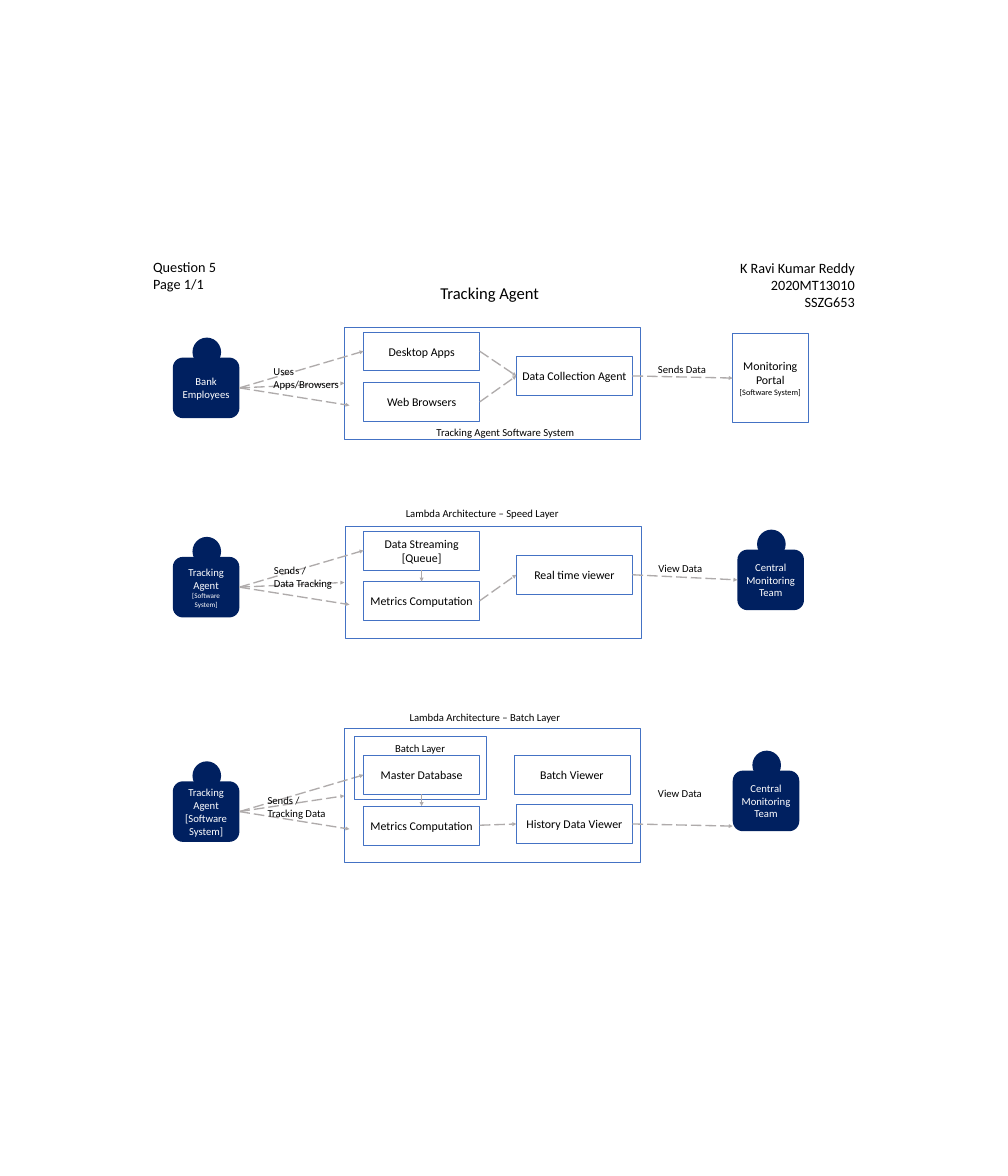
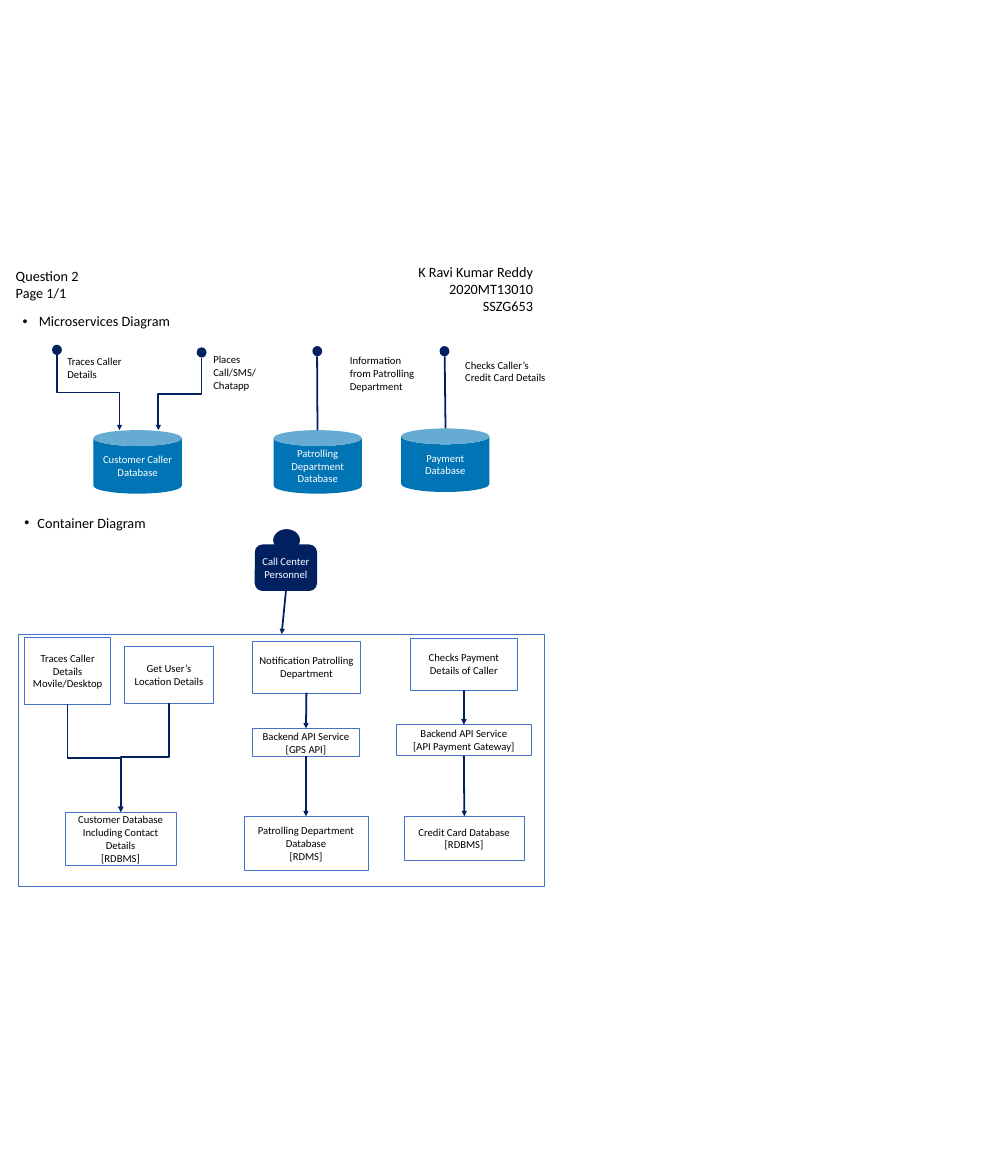
from dataclasses import dataclass
from typing import NamedTuple

from lxml import etree
from pptx import Presentation
from pptx import util as u
from pptx.dml.color import RGBColor
from pptx.enum import dml, shapes, text
from pptx.oxml import ns


@dataclass(frozen=True)
class Theme:
    font: str = "Calibri"
    navy: str = "002060"
    blue: str = "4472C4"
    grey: str = "AFABAB"
    database: str = "0074B5"
    black: str = "000000"
    white: str = "FFFFFF"
    title: int = 28
    heading: int = 24
    box: int = 20
    label: int = 18
    box_note: int = 14
    person_note: int = 12
    outline: float = 1
    dashed: float = 2.25
    solid: float = 3


THEME = Theme()
SHAPE = shapes.MSO_SHAPE
ALIGN = text.PP_ALIGN


class Area(NamedTuple):
    left: float
    top: float
    width: float
    height: float


class Point(NamedTuple):
    x: float
    y: float


@dataclass
class Box:
    area: Area
    words: str = ""
    size: int = THEME.label
    note: str = ""


@dataclass
class Person:
    body: Area
    words: str
    note: str = ""


@dataclass
class Label:
    area: Area
    words: str
    size: int = THEME.label
    wrap: bool = False
    align: ALIGN = ALIGN.LEFT
    bullet: float = 0


@dataclass
class Arrow:
    start: Point
    end: Point
    colour: str = THEME.navy
    width: float = THEME.solid
    dashed: bool = False
    head: bool = True
    bent: bool = False


@dataclass
class Layer:
    shift: float
    actor: Person
    upper: str
    lower: str
    entry: float
    frame: Area
    caption: Label
    action: str
    action_at: Point
    result: str
    result_at: Area


# Text
def write(frame, words: str, size: int, colour: str, align: ALIGN,
          note: str = "", note_size: int = 0) -> None:
    frame.text = f"{words}\n{note}" if note else words
    for para in frame.paragraphs:
        para.alignment = align
        para.font.name = THEME.font
        para.font.size = u.Pt(size)
        para.font.color.rgb = RGBColor.from_string(colour)
    if note:
        frame.paragraphs[-1].font.size = u.Pt(note_size)


def draw_label(page, label: Label) -> None:
    frame = page.shapes.add_textbox(*map(u.Inches, label.area)).text_frame
    frame.word_wrap = label.wrap
    frame.auto_size = text.MSO_AUTO_SIZE.SHAPE_TO_FIT_TEXT
    write(frame, label.words, label.size, THEME.black, label.align)
    if label.bullet:
        settings = frame.paragraphs[0]._p.get_or_add_pPr()
        settings.set("marL", str(u.Inches(label.bullet)))
        settings.set("indent", str(-u.Inches(label.bullet)))
        mark = etree.Element(ns.qn("a:buChar"), char="•")
        settings.insert(0, mark)
        mark.addprevious(etree.Element(ns.qn("a:buFont"), typeface="Arial"))


# Shapes
def draw_shape(parent, kind: SHAPE, area: Area, fill: str = ""):
    shape = parent.shapes.add_shape(kind, *map(u.Inches, area))
    shape.shadow.inherit = False
    if fill:
        shape.fill.solid()
        shape.fill.fore_color.rgb = RGBColor.from_string(fill)
        shape.line.fill.background()
    else:
        shape.fill.background()
        shape.line.color.rgb = RGBColor.from_string(THEME.blue)
        shape.line.width = u.Pt(THEME.outline)
    shape.text_frame.word_wrap = True
    shape.text_frame.vertical_anchor = text.MSO_ANCHOR.MIDDLE
    return shape


def draw_box(page, box: Box) -> None:
    shape = draw_shape(page, SHAPE.RECTANGLE, box.area)
    if box.words:
        write(shape.text_frame, box.words, box.size, THEME.black, ALIGN.CENTER,
              box.note, THEME.box_note)


def draw_person(page, person: Person) -> None:
    left, top, width, height = person.body
    head = Area(left + 0.295 * width, top - 0.33 * height, 0.43 * width, 0.48 * height)
    group = page.shapes.add_group_shape()
    draw_shape(group, SHAPE.OVAL, head, THEME.navy)
    body = draw_shape(group, SHAPE.ROUNDED_RECTANGLE, person.body, THEME.navy)
    write(body.text_frame, person.words, THEME.label, THEME.white, ALIGN.CENTER,
          person.note, THEME.person_note)


def draw_database(page, area: Area, words: str) -> None:
    can = draw_shape(page, SHAPE.CAN, area, THEME.database)
    write(can.text_frame, words, THEME.label, THEME.white, ALIGN.CENTER)


# Lines
def draw_arrow(page, arrow: Arrow) -> None:
    start, end = arrow.start, arrow.end
    kind = shapes.MSO_CONNECTOR.STRAIGHT
    if arrow.bent:
        # A quarter turn makes the elbow leave and arrive vertically
        kind = shapes.MSO_CONNECTOR.ELBOW
        middle = Point((start.x + end.x) / 2, (start.y + end.y) / 2)
        half = Point((end.y - start.y) / 2, abs(end.x - start.x) / 2)
        start = Point(middle.x - half.x, middle.y - half.y)
        end = Point(middle.x + half.x, middle.y + half.y)
    line = page.shapes.add_connector(kind, *map(u.Inches, (*start, *end)))
    line.line.color.rgb = RGBColor.from_string(arrow.colour)
    line.line.width = u.Pt(arrow.width)
    if arrow.dashed:
        line.line.dash_style = dml.MSO_LINE.LONG_DASH
    properties = line._element.spPr
    if arrow.head:
        etree.SubElement(properties.find(ns.qn("a:ln")), ns.qn("a:tailEnd"), type="triangle")
    etree.SubElement(properties, ns.qn("a:effectLst"))
    if arrow.bent:
        rightward = arrow.end.x > arrow.start.x
        turn = properties.find(ns.qn("a:xfrm"))
        turn.set("rot", str((270 if rightward else 90) * 60000))
        if rightward:
            turn.set("flipH", "1")


def draw_flow(page, x1: float, y1: float, x2: float, y2: float) -> None:
    draw_arrow(page, Arrow(Point(x1, y1), Point(x2, y2), THEME.grey, THEME.dashed, True))


# Parts both slides share
def draw_header(page, question: str, question_at: Point, author_at: Point) -> None:
    draw_label(page, Label(Area(*author_at, 2.92, 1.31),
                           "K Ravi Kumar Reddy\n2020MT13010\nSSZG653",
                           THEME.heading, align=ALIGN.RIGHT))
    draw_label(page, Label(Area(*question_at, 1.69, 0.91), f"{question}\nPage 1/1", THEME.heading))


def inner_box(left: float, top: float, words: str) -> Box:
    return Box(Area(left, top, 2.72, 0.91), words, THEME.box)


def person_at(left: float, top: float, words: str, note: str = "") -> Person:
    return Person(Area(left, top, 1.56, 1.42), words, note)


def draw_layer(page, layer: Layer) -> None:
    shift = layer.shift
    draw_person(page, layer.actor)
    draw_box(page, inner_box(8.52, 7.78 + shift, layer.upper))
    draw_box(page, inner_box(8.52, 8.96 + shift, layer.lower))
    draw_box(page, Box(layer.frame))
    for x, y in ((8.52, 8.23 + shift), (8.19, 9.5 + shift), (8.07, layer.entry)):
        draw_flow(page, 5.61, 9.09 + shift, x, y)
    draw_label(page, layer.caption)
    draw_label(page, Label(Area(*layer.action_at, 1.82, 0.71), layer.action, wrap=True))
    draw_label(page, Label(layer.result_at, layer.result))


deck = Presentation()
deck.slide_width, deck.slide_height = u.Inches(23.62), u.Inches(27.56)
blank = deck.slide_layouts[6]

# Slide 1: tracking agent and its two lambda layers
page = deck.slides.add_slide(blank)
draw_header(page, "Question 5", Point(3.49, 6.01), Point(17.21, 6.02))
draw_label(page, Label(Area(10.22, 6.59, 2.54, 0.57), "Tracking Agent", THEME.title))

LAYERS = [
    Layer(0, person_at(4.05, 8.38, "Bank Employees"), "Desktop Apps", "Web Browsers", 8.98,
          Area(8.07, 7.67, 6.94, 2.62),
          Label(Area(10.13, 9.92, 3.47, 0.4), "Tracking Agent Software System"),
          "Uses Apps/Browsers", Point(6.31, 8.5), "Sends Data", Area(15.32, 8.46, 1.34, 0.4)),
    Layer(4.67, person_at(4.05, 13.05, "Tracking Agent", "[Software System]"),
          "Data Streaming\n[Queue]", "Metrics Computation", 13.65,
          Area(8.08, 12.34, 6.94, 2.62),
          Label(Area(9.41, 11.83, 3.83, 0.4), "Lambda Architecture – Speed Layer"),
          "Sends / \vData Tracking", Point(6.32, 13.16), "View Data", Area(15.33, 13.12, 1.24, 0.4)),
    Layer(9.93, person_at(4.05, 18.31, "Tracking Agent\v[Software System]"),
          "Master Database", "Metrics Computation", 18.65,
          Area(8.07, 17.07, 6.94, 3.15),
          Label(Area(9.5, 16.6, 3.77, 0.4), "Lambda Architecture – Batch Layer"),
          "Sends / \vTracking Data", Point(6.17, 18.56), "View Data", Area(15.32, 18.38, 1.24, 0.4)),
]
for layer in LAYERS:
    draw_layer(page, layer)

for left, top, words in ((12.1, 8.35, "Data Collection Agent"), (12.1, 13.02, "Real time viewer"),
                         (12.1, 18.86, "History Data Viewer"), (12.04, 17.71, "Batch Viewer")):
    draw_box(page, inner_box(left, top, words))
draw_box(page, Box(Area(17.17, 7.81, 1.76, 2.09), "Monitoring Portal", THEME.box, "[Software System]"))
draw_box(page, Box(Area(8.3, 17.26, 3.1, 1.48)))
draw_label(page, Label(Area(9.16, 17.34, 1.38, 0.4), "Batch Layer"))
for left, top in ((17.28, 12.88), (17.17, 18.06)):
    draw_person(page, person_at(left, top, "Central Monitoring Team"))
for ends in ((11.24, 8.23, 12.1, 8.81), (11.24, 9.42, 12.1, 8.81), (14.82, 8.81, 17.17, 8.86),
             (11.24, 14.08, 12.1, 13.47), (9.88, 13.35, 9.88, 13.63), (14.82, 13.47, 17.28, 13.59),
             (9.88, 18.61, 9.88, 18.89), (11.24, 19.34, 12.1, 19.31), (14.82, 19.31, 17.17, 19.36)):
    draw_flow(page, *ends)

# Slide 2: microservices diagram
page = deck.slides.add_slide(blank)
draw_header(page, "Question 2", Point(0.27, 6.22), Point(9.67, 6.11))
draw_label(page, Label(Area(0.43, 7.28, 3.69, 0.5), "Microservices Diagram", THEME.heading, bullet=0.38))
for left, top in ((1.22, 8.08), (4.61, 8.14), (7.32, 8.11), (10.3, 8.11)):
    draw_shape(page, SHAPE.OVAL, Area(left, top, 0.23, 0.24), THEME.navy)
for area, words in ((Area(1.48, 8.27, 1.7, 0.71), "Traces Caller Details"),
                    (Area(4.9, 8.23, 1.61, 1.01), "Places Call/SMS/\vChatapp"),
                    (Area(8.1, 8.25, 1.89, 1.01), "Information from Patrolling Department"),
                    (Area(10.8, 8.35, 2.16, 0.71), "Checks Caller’s Credit Card Details")):
    draw_label(page, Label(area, words, wrap=True))
for left, top, words in ((2.19, 10.08, "Customer Caller Database"),
                         (6.41, 10.08, "Patrolling Department Database"),
                         (9.4, 10.04, "Payment Database")):
    draw_database(page, Area(left, top, 2.07, 1.49), words)

# Slide 2: container diagram
draw_label(page, Label(Area(0.47, 12, 3.08, 0.5), "Container Diagram", THEME.heading, bullet=0.31))
draw_person(page, Person(Area(5.97, 12.76, 1.46, 1.09), "Call Center Personnel"))
for box in (Box(Area(0.44, 14.86, 12.31, 5.9)),
            Box(Area(0.58, 14.94, 2.01, 1.56), "Traces Caller Details\nMovile/Desktop"),
            Box(Area(2.92, 15.15, 2.08, 1.33), "Get User’s Location Details"),
            Box(Area(5.92, 15.02, 2.52, 1.22), "Notification Patrolling Department"),
            Box(Area(9.61, 14.95, 2.52, 1.22), "Checks Payment Details of Caller"),
            Box(Area(5.91, 17.07, 2.52, 0.66), "Backend API Service\n[GPS API]"),
            Box(Area(9.29, 16.98, 3.16, 0.73), "Backend API Service\n[API Payment Gateway]"),
            Box(Area(1.53, 19.03, 2.59, 1.26), "Customer Database\nIncluding Contact Details\n[RDBMS]"),
            Box(Area(5.72, 19.13, 2.9, 1.26), "Patrolling Department Database\n[RDMS]"),
            Box(Area(9.47, 19.13, 2.81, 1.03), "Credit Card Database\n[RDBMS]")):
    draw_box(page, box)

# Slide 2: plain stems, elbows and straight arrows
for x1, y1, x2, y2 in ((7.43, 8.35, 7.44, 10.08), (10.42, 8.35, 10.44, 10.04)):
    draw_arrow(page, Arrow(Point(x1, y1), Point(x2, y2), head=False))
for x1, y1, x2, y2 in ((1.34, 8.32, 2.8, 10.08), (4.72, 8.38, 3.71, 10.08),
                       (3.96, 16.47, 2.83, 19.03), (1.58, 16.5, 2.83, 19.03)):
    draw_arrow(page, Arrow(Point(x1, y1), Point(x2, y2), bent=True))
for x1, y1, x2, y2 in ((7.18, 16.23, 7.17, 17.07), (10.87, 16.17, 10.87, 16.98),
                       (10.87, 17.71, 10.88, 19.13), (7.17, 17.72, 7.17, 19.13),
                       (6.7, 13.85, 6.6, 14.86)):
    draw_arrow(page, Arrow(Point(x1, y1), Point(x2, y2)))

deck.save("out.pptx")
